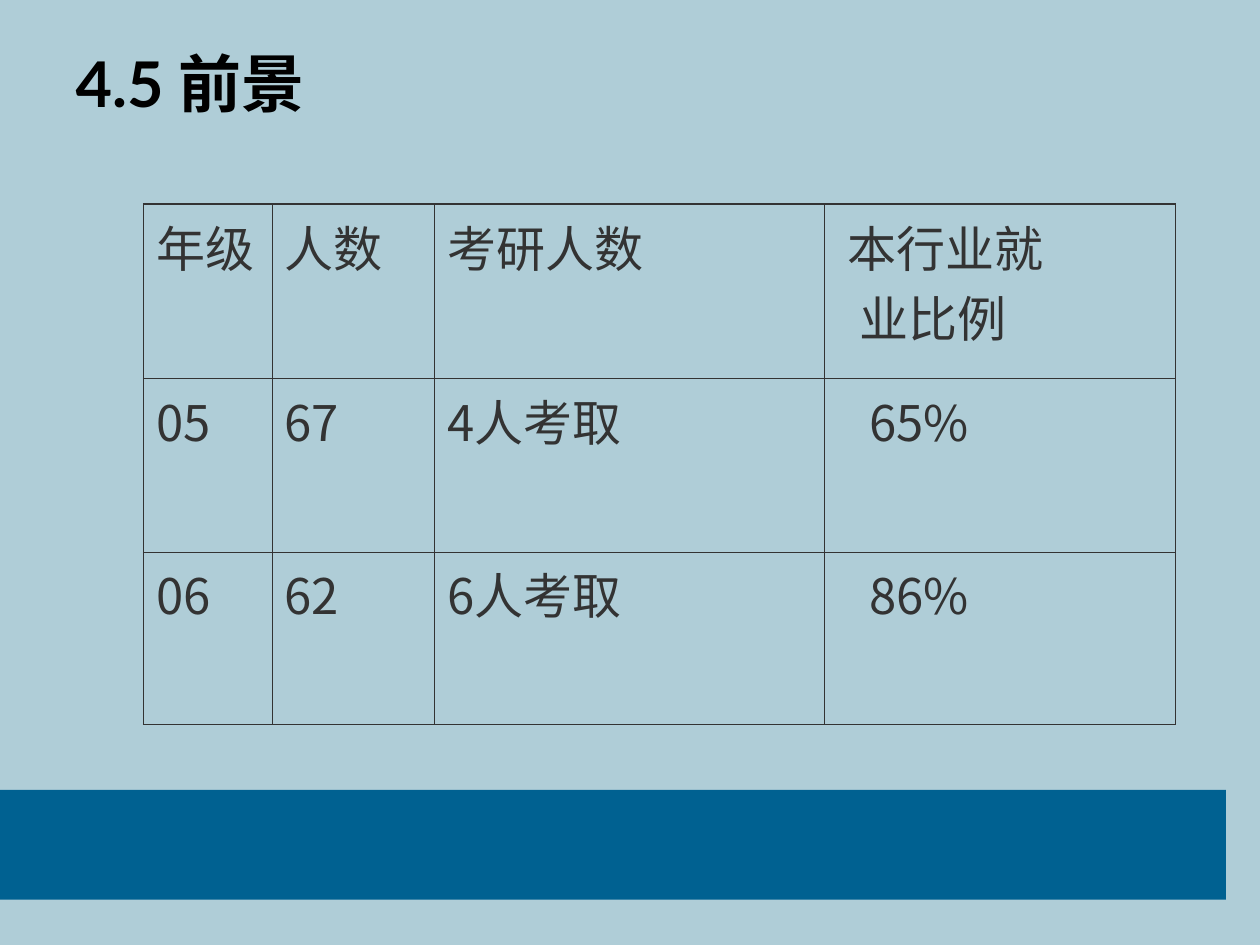
from lxml.etree import SubElement
from pptx import Presentation
from pptx.dml.color import RGBColor
from pptx.enum.shapes import MSO_SHAPE
from pptx.enum.text import MSO_ANCHOR, PP_ALIGN
from pptx.oxml.ns import qn
from pptx.util import Inches, Pt

BACKGROUND = RGBColor(0xAF, 0xCD, 0xD7)
BAR_BLUE = RGBColor(0x00, 0x61, 0x91)
BLACK = RGBColor(0x00, 0x00, 0x00)
DARK_GREY = RGBColor(0x33, 0x33, 0x33)
CJK_FONT = "Noto Sans CJK SC"


def write(para, text, size=28, font=CJK_FONT, color=DARK_GREY, bold=False, indent=0):
    para.alignment = PP_ALIGN.LEFT
    properties = para._p.get_or_add_pPr()
    properties.set("marL", str(Inches(indent)))
    properties.set("indent", "0")
    span = para.add_run()
    span.text = text
    span.font.size = Pt(size)
    span.font.name = font
    span.font.bold = bold
    span.font.color.rgb = color
    SubElement(span._r.get_or_add_rPr(), qn("a:ea"), typeface=CJK_FONT)


def draw_borders(cell, widths):
    properties = cell._tc.get_or_add_tcPr()
    for side, width in widths.items():
        line = SubElement(properties, qn(f"a:ln{side}"), w=str(Pt(width)))
        fill = SubElement(line, qn("a:solidFill"))
        SubElement(fill, qn("a:srgbClr"), val=str(DARK_GREY))


deck = Presentation()
deck.slide_width = Inches(10)
deck.slide_height = Inches(7.5)
page = deck.slides.add_slide(deck.slide_layouts[5])
page.background.fill.solid()
page.background.fill.fore_color.rgb = BACKGROUND

bar = page.shapes.add_shape(
    MSO_SHAPE.RECTANGLE, Inches(0), Inches(6.27), Inches(9.73), Inches(0.87)
)
bar.shadow.inherit = False
bar.fill.solid()
bar.fill.fore_color.rgb = BAR_BLUE
bar.line.fill.background()

title = page.shapes.title
title.left, title.top = Inches(0.5), Inches(0.3)
title.width, title.height = Inches(6.63), Inches(1.25)
title.text_frame.vertical_anchor = MSO_ANCHOR.TOP
title.text_frame.word_wrap = True
write(title.text_frame.paragraphs[0], "4.5 前景", size=36, font="Lato", color=BLACK, bold=True)

rows = [
    ["年级", "人数", "考研人数", "本行业就\n业比例"],
    ["05", "67", "4人考取", "65%"],
    ["06", "62", "6人考取", "86%"],
]
column_widths = [1.02, 1.29, 3.09, 2.79]
row_heights = [1.38, 1.38, 1.37]
last_row, last_column = len(rows) - 1, len(column_widths) - 1
ratio_indents = {"本行业就": 0.09, "业比例": 0.18, "65%": 0.26, "86%": 0.26}
THIN, THICK = 0.45, 1.08

frame = page.shapes.add_table(
    len(rows), len(column_widths), Inches(1.14), Inches(1.62), Inches(8.19), Inches(4.13)
)
table = frame.table
table.first_row = False
table.horz_banding = False
for column, width in zip(table.columns, column_widths):
    column.width = Inches(width)
for row, height in zip(table.rows, row_heights):
    row.height = Inches(height)

for r, texts in enumerate(rows):
    for c, text in enumerate(texts):
        cell = table.cell(r, c)
        draw_borders(cell, {
            "L": THICK if c == 0 else THIN,
            "R": THICK if c == last_column else THIN,
            "T": THICK if r == 0 else THIN,
            "B": THICK if r == last_row else THIN,
        })
        cell.fill.background()
        for i, line in enumerate(text.split("\n")):
            box = cell.text_frame
            para = box.add_paragraph() if i else box.paragraphs[0]
            write(para, line, indent=ratio_indents.get(line, 0))

deck.save("out.pptx")
